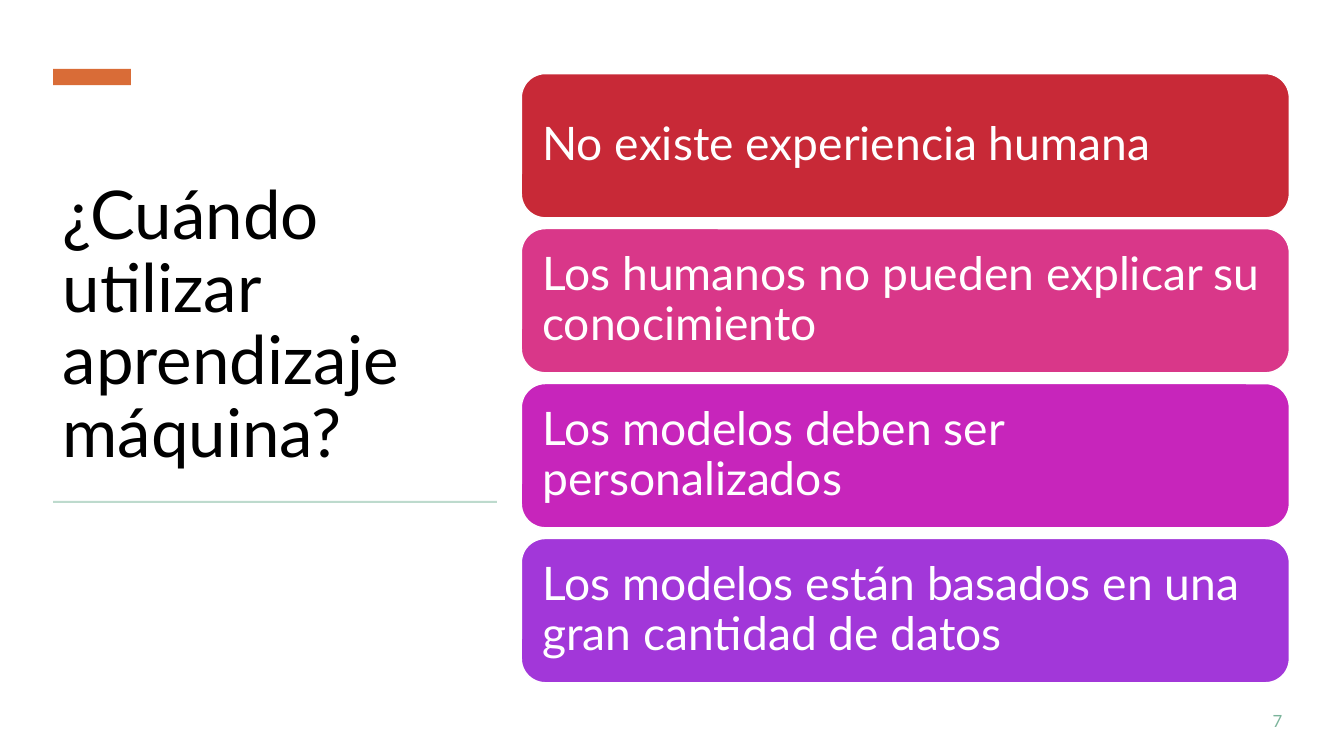
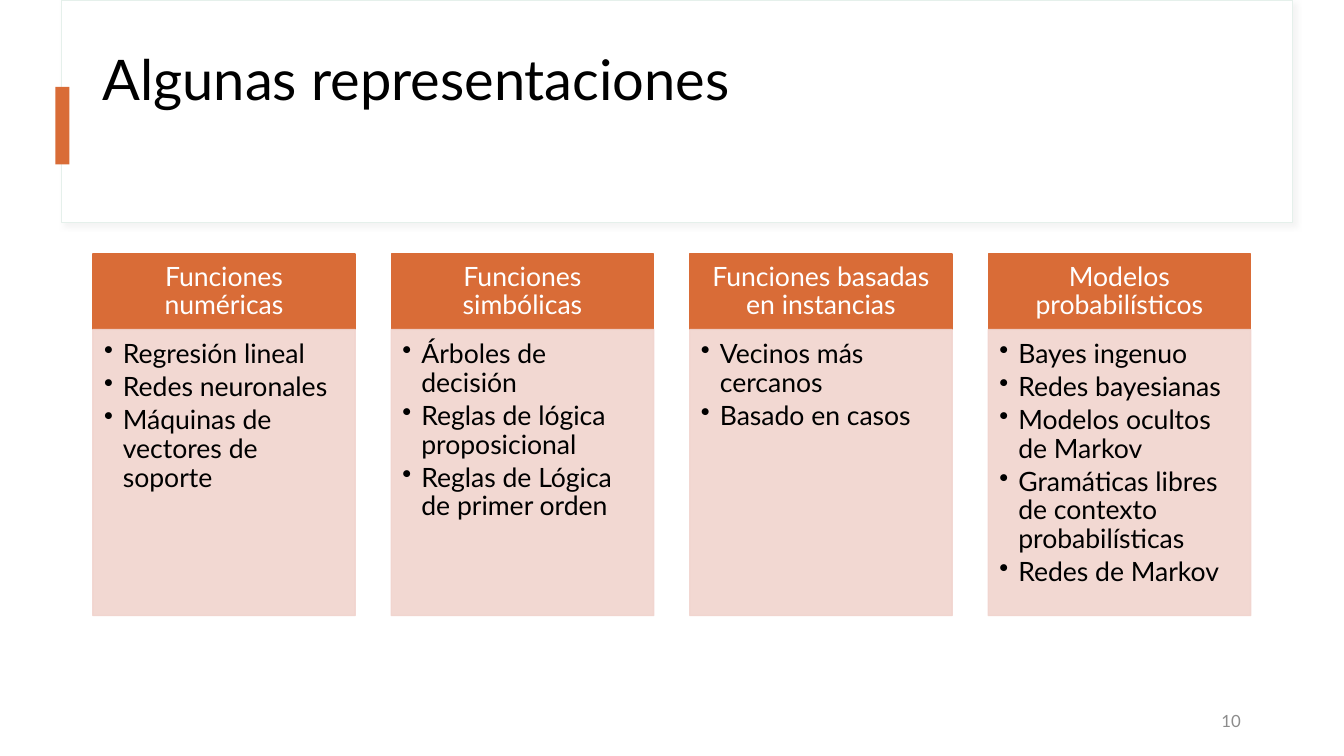
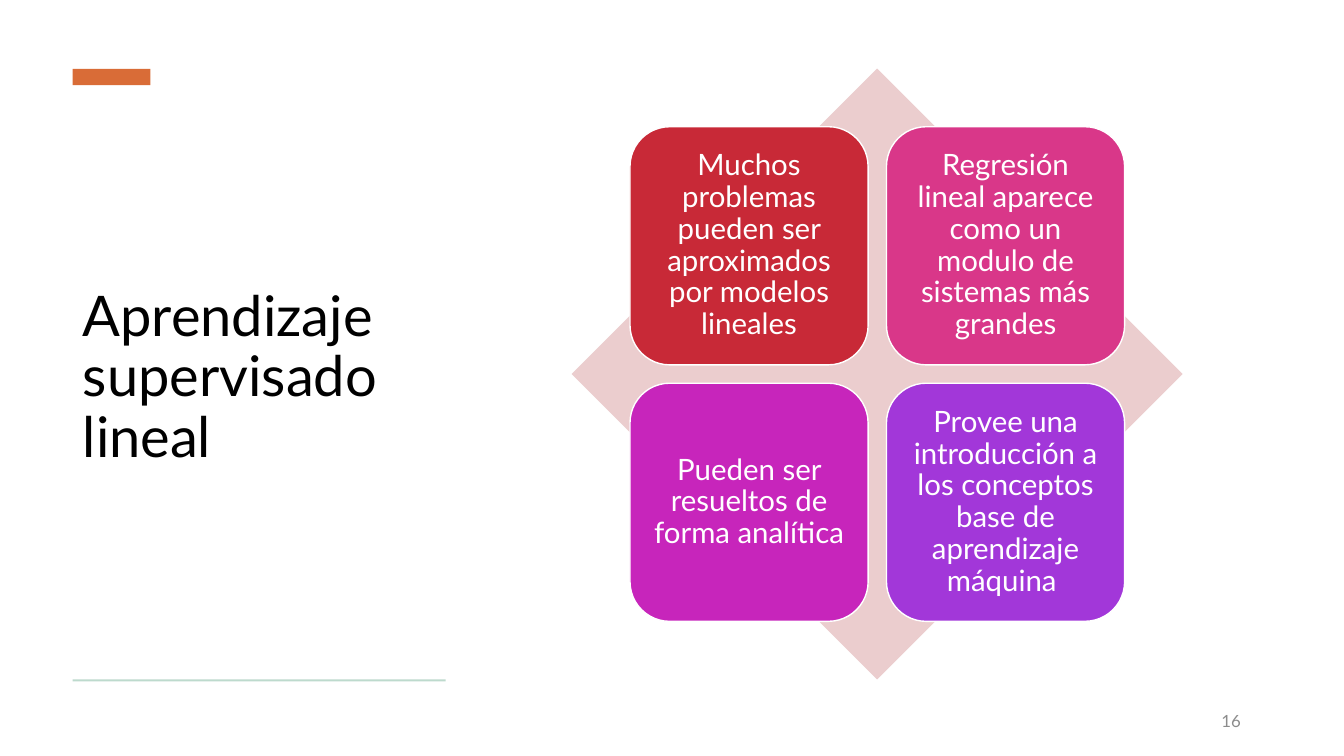
"""Build three slides about machine learning: when to use it, representations, linear learning."""
import lxml.etree
import pptx
import pptx.dml.color
import pptx.enum.shapes
import pptx.enum.text
import pptx.oxml
import pptx.oxml.ns
import pptx.util

Pt = pptx.util.Pt
SHAPE = pptx.enum.shapes.MSO_SHAPE
ALIGN = pptx.enum.text.PP_ALIGN
ANCHOR = pptx.enum.text.MSO_ANCHOR
qn = pptx.oxml.ns.qn

FONT = "Lato"
BLACK, WHITE, ORANGE, GREEN = "000000", "FFFFFF", "D96C37", "BDDACD"
PAGE_GRAY, PAGE_GREEN = "8C8C8C", "7BB49B"
PANEL_EDGE, COLUMN_TINT, DIAMOND_TINT = "E5F0EB", "F1D4CE", "EBCDCE"
CARD_COLORS = ("C82937", "D93789", "C725BB", "A237D9")

WHEN_TITLE = "¿Cuándo utilizar aprendizaje máquina?"
WHEN_REASONS = (
    "No existe experiencia humana",
    "Los humanos no pueden explicar su conocimiento",
    "Los modelos deben ser personalizados",
    "Los modelos están basados en una gran cantidad de datos",
)
REPRESENTATIONS_TITLE = "Algunas representaciones"
REPRESENTATIONS = {
    "Funciones numéricas": (
        "Regresión lineal", "Redes neuronales", "Máquinas de vectores de soporte"),
    "Funciones simbólicas": (
        "Árboles de decisión", "Reglas de lógica proposicional",
        "Reglas de Lógica de primer orden"),
    "Funciones basadas en instancias": ("Vecinos más cercanos", "Basado en casos"),
    "Modelos probabilísticos": (
        "Bayes ingenuo", "Redes bayesianas", "Modelos ocultos de Markov",
        "Gramáticas libres de contexto probabilísticas", "Redes de Markov"),
}
LINEAR_TITLE = "Aprendizaje supervisado lineal"
LINEAR_POINTS = (
    "Muchos problemas pueden ser aproximados por modelos lineales",
    "Regresión lineal aparece como un modulo de sistemas más grandes",
    "Pueden ser resueltos de forma analítica",
    "Provee una introducción a los conceptos base de aprendizaje máquina ",
)


def rgb(value):
    return pptx.dml.color.RGBColor.from_string(value)


def add_block(slide, kind, box, fill, line=None, line_width=1):
    block = slide.shapes.add_shape(kind, *map(Pt, box))
    block.shadow.inherit = False
    block.fill.solid()
    block.fill.fore_color.rgb = rgb(fill)
    if line:
        block.line.color.rgb = rgb(line)
        block.line.width = Pt(line_width)
    else:
        block.line.fill.background()
    return block


def write(holder, lines, size, color, align=ALIGN.LEFT, anchor=ANCHOR.MIDDLE,
          insets=(7.2, 3.6, 7.2, 3.6), spacing=0.9, after=0):
    frame = holder.text_frame
    frame.word_wrap = True
    frame.auto_size = pptx.enum.text.MSO_AUTO_SIZE.NONE
    frame.vertical_anchor = anchor
    (frame.margin_left, frame.margin_top,
     frame.margin_right, frame.margin_bottom) = map(Pt, insets)
    frame.text = "\n".join(lines)
    for paragraph in frame.paragraphs:
        paragraph.alignment = align
        paragraph.line_spacing = spacing
        paragraph.space_after = Pt(after)
        for run in paragraph.runs:
            run.font.name = FONT
            run.font.size = Pt(size)
            run.font.color.rgb = rgb(color)


def add_bullets(holder, indent):
    for paragraph in holder.text_frame.paragraphs:
        properties = paragraph._p.get_or_add_pPr()
        properties.set("marL", str(Pt(indent)))
        properties.set("indent", str(-Pt(indent)))
        lxml.etree.SubElement(properties, qn("a:buChar")).set("char", "•")


def make_translucent(block, percent):
    for color in block.element.spPr.iter(qn("a:srgbClr")):
        lxml.etree.SubElement(color, qn("a:alpha")).set("val", str(percent * 1000))


def add_soft_shadow(block):
    effects = block.element.spPr.find(qn("a:effectLst"))
    shadow = lxml.etree.SubElement(effects, qn("a:outerShdw"))
    for name, value in (("blurRad", Pt(4)), ("dist", Pt(3)), ("dir", 45 * 60000)):
        shadow.set(name, str(value))
    color = lxml.etree.SubElement(shadow, qn("a:srgbClr"))
    color.set("val", "D9D9D9")
    lxml.etree.SubElement(color, qn("a:alpha")).set("val", "30000")


def start_slide(deck, heading, box, size, page, anchor=ANCHOR.MIDDLE,
                page_right=893.5, page_color=PAGE_GRAY):
    slide = deck.slides.add_slide(deck.slide_layouts[5])
    title = slide.shapes.title
    title.left, title.top, title.width, title.height = map(Pt, box)
    write(title, [heading], size, BLACK, anchor=anchor)
    page_width = 140
    number = slide.shapes.add_textbox(
        *map(Pt, (page_right - page_width, 500.4, page_width, 28.8)))
    write(number, [page], 12, page_color, ALIGN.RIGHT, spacing=1, after=6)
    return slide


def add_side_marks(slide, left, rule_top, rule_width):
    add_block(slide, SHAPE.RECTANGLE, (left, 49.2, 55.5, 11.7), ORANGE)
    add_block(slide, SHAPE.RECTANGLE, (left, rule_top, rule_width, 1.4), GREEN)


def build_when(deck):
    slide = start_slide(deck, WHEN_TITLE, (37.6, 88.6, 317, 252), 48, "7",
                        ANCHOR.BOTTOM, 923, PAGE_GREEN)
    add_side_marks(slide, 38, 357.8, 317)
    for index, (reason, color) in enumerate(zip(WHEN_REASONS, CARD_COLORS)):
        card = add_block(slide, SHAPE.ROUNDED_RECTANGLE,
                         (372.4, 52.6 + index * 110.7, 548.6, 103), color, WHITE)
        write(card, [reason], 33, WHITE, insets=(10, 10, 10, 10))


def build_representations(deck):
    slide = start_slide(deck, REPRESENTATIONS_TITLE, (66.2, 19.4, 827.3, 79.2), 40, "10")
    panel = add_block(slide, SHAPE.RECTANGLE, (44, 0, 879, 159), WHITE, PANEL_EDGE, 0.75)
    add_soft_shadow(panel)
    slide.shapes.title.element.addprevious(panel.element)
    add_block(slide, SHAPE.RECTANGLE, (39.6, 62, 10, 55.5), ORANGE)
    width, head_top, head_height = 187.4, 181.4, 54
    for index, (family, methods) in enumerate(REPRESENTATIONS.items()):
        left = 66.3 + index * 213.2
        head = add_block(slide, SHAPE.RECTANGLE, (left, head_top, width, head_height),
                         ORANGE, ORANGE)
        write(head, [family], 19, WHITE, ALIGN.CENTER, insets=(10.6, 6, 10.6, 6))
        column = add_block(slide, SHAPE.RECTANGLE,
                           (left, head_top + head_height, width, 204.3),
                           COLUMN_TINT, COLUMN_TINT)
        make_translucent(column, 90)
        write(column, methods, 19, BLACK, anchor=ANCHOR.TOP,
              insets=(8, 8, 10.6, 12), after=3)
        add_bullets(column, 13.5)


def build_linear(deck):
    slide = start_slide(deck, LINEAR_TITLE, (52, 75.6, 266.4, 389.5), 40, "16")
    add_side_marks(slide, 52, 485.3, 266.4)
    add_block(slide, SHAPE.DIAMOND, (408.4, 49, 436.3, 436.3), DIAMOND_TINT)
    for index, (point, color) in enumerate(zip(LINEAR_POINTS, CARD_COLORS)):
        row, column = divmod(index, 2)
        tile = add_block(slide, SHAPE.ROUNDED_RECTANGLE,
                         (450 + column * 183.2, 90.5 + row * 183.2, 170.1, 170.1),
                         color, WHITE)
        write(tile, [point], 21, WHITE, ALIGN.CENTER, insets=(6.3, 6.3, 6.3, 6.3))


def main():
    deck = pptx.Presentation()
    deck.slide_width, deck.slide_height = Pt(960), Pt(540)
    build_when(deck)
    build_representations(deck)
    build_linear(deck)
    deck.save("out.pptx")


if __name__ == "__main__":
    main()
